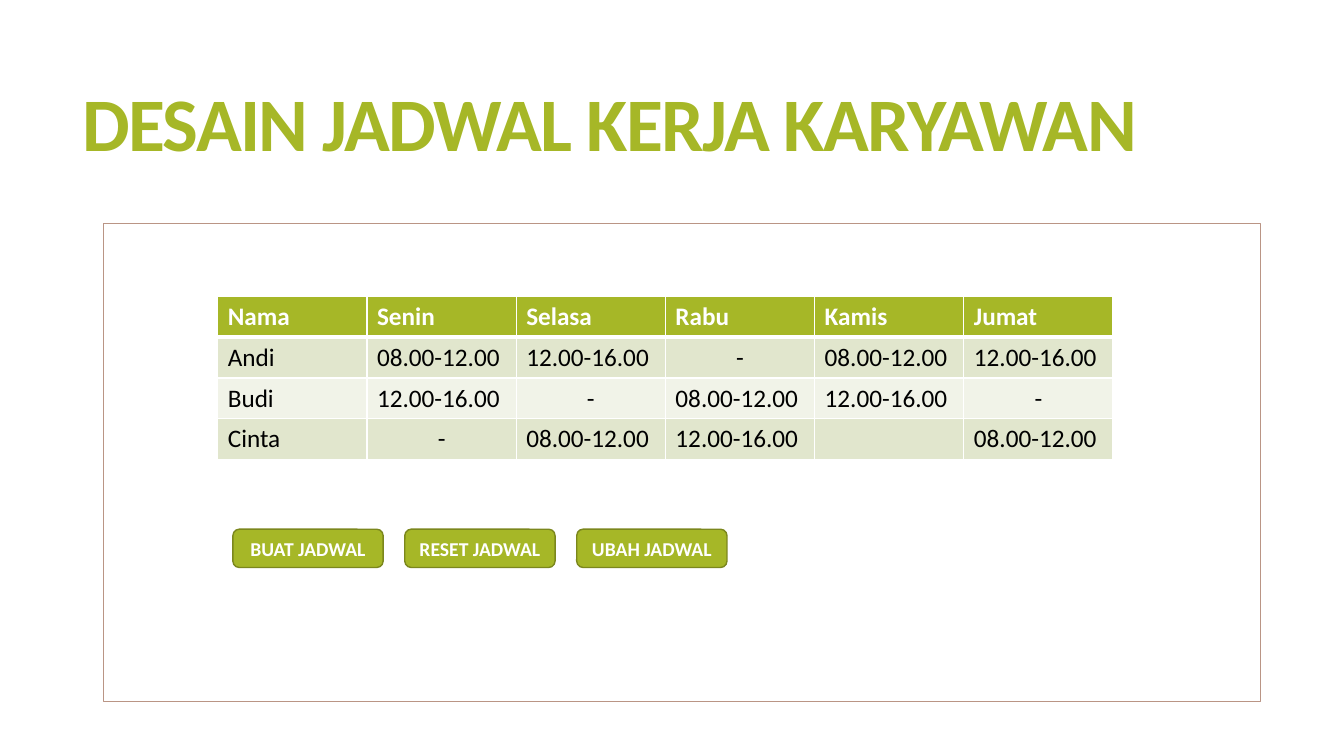
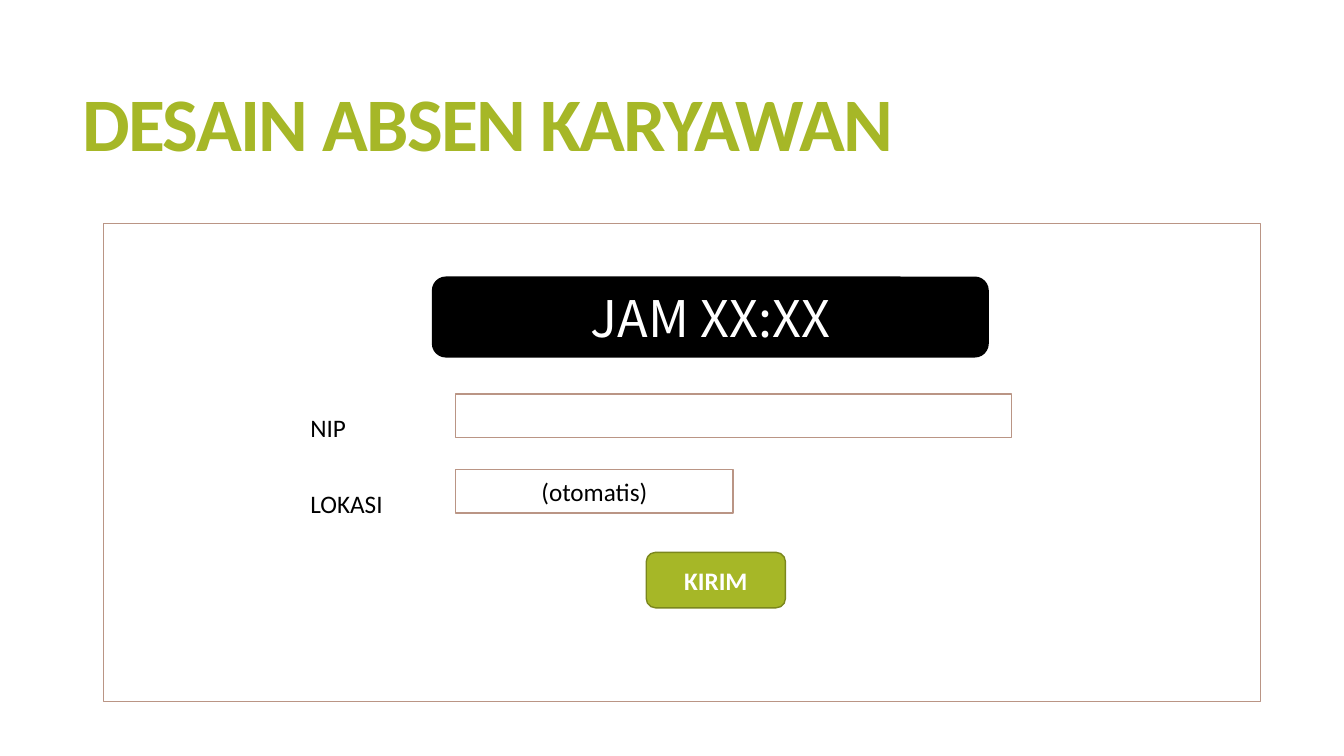
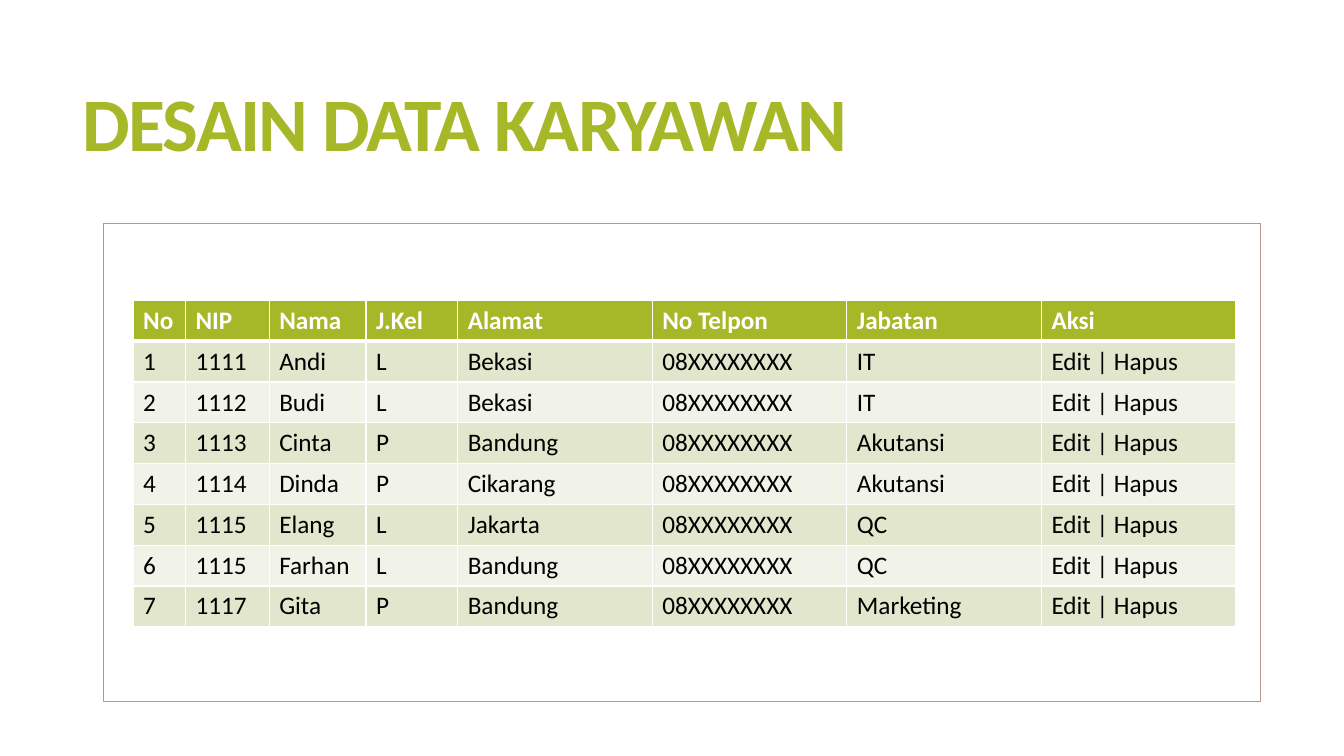
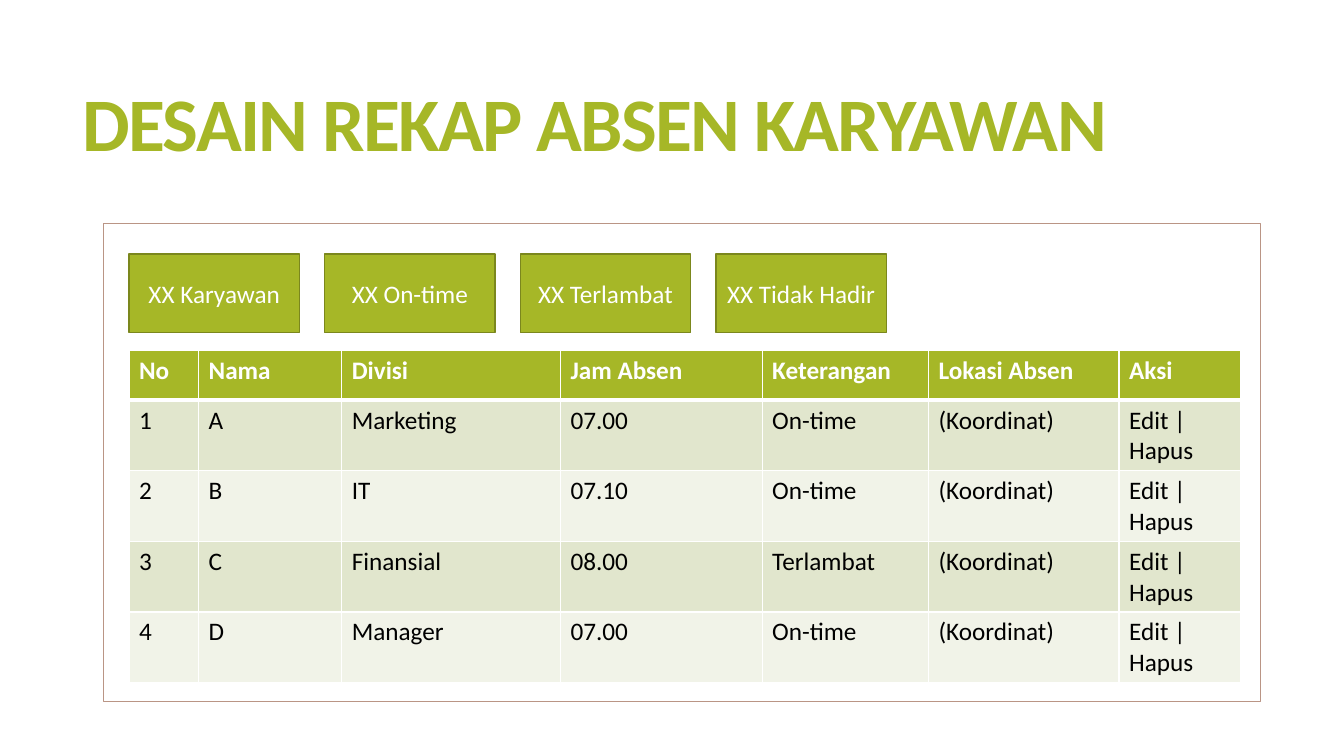
from dataclasses import dataclass

from lxml import etree
from pptx import Presentation
from pptx.dml.color import RGBColor
from pptx.enum.shapes import MSO_SHAPE
from pptx.enum.text import MSO_ANCHOR, PP_ALIGN
from pptx.oxml.ns import qn
from pptx.util import Inches, Pt

RECT, ROUNDED = MSO_SHAPE.RECTANGLE, MSO_SHAPE.ROUNDED_RECTANGLE
LEFT, CENTER = PP_ALIGN.LEFT, PP_ALIGN.CENTER
TOP, MIDDLE = MSO_ANCHOR.TOP, MSO_ANCHOR.MIDDLE


@dataclass(frozen=True)
class Theme:
    """Colours, fonts and type sizes of the deck."""
    green: str = "A6B727"
    dark_green: str = "7B871D"
    brown: str = "BA9585"
    white: str = "FFFFFF"
    black: str = "000000"
    bands: tuple = ("E1E6CD", "F1F3E8")
    font: str = "Calibri"
    clock_font: str = "Noto Sans CJK SC"
    title_size: int = 54
    clock_size: int = 36
    body_size: int = 18
    button_size: int = 14


class Deck:
    """Draws the elements of the deck on the current slide."""

    def __init__(self, theme):
        self.t = theme
        self.prs = Presentation()
        self.prs.slide_width, self.prs.slide_height = Inches(13.33), Inches(7.5)
        self.s = None

    def slide(self, title):
        """Start a slide with its title and framed panel."""
        self.s = self.prs.slides.add_slide(self.prs.slide_layouts[6])
        r, = self.text(0.72, 0.55, 11.78, 1.45, [title], 0.85, MIDDLE,
                       size=self.t.title_size, color=self.t.green, bold=True)
        r.font._element.set("spc", "-120")
        self.field(1.03, 2.22, 11.47, 4.74)

    def run(self, p, text, size=None, color=None, bold=False, font=None):
        """Add one styled run to a paragraph."""
        r = p.add_run()
        r.text = text
        r.font.name = font or self.t.font
        r.font.size = Pt(size or self.t.body_size)
        r.font.bold = bold
        r.font.color.rgb = RGBColor.from_string(color or self.t.black)
        return r

    def text(self, x, y, w, h, lines, spacing, anchor=TOP, **style):
        """Add a text box with one paragraph per line."""
        sp = self.s.shapes.add_textbox(Inches(x), Inches(y), Inches(w), Inches(h))
        tf = sp.text_frame
        tf.word_wrap = True
        tf.vertical_anchor = anchor
        runs = []
        for i, line in enumerate(lines):
            p = tf.add_paragraph() if i else tf.paragraphs[0]
            p.line_spacing = spacing
            runs.append(self.run(p, line, **style))
        return runs

    def box(self, kind, x, y, w, h, fill, line, text="", **style):
        """Add a filled, outlined shape with optional centred text."""
        sp = self.s.shapes.add_shape(kind, Inches(x), Inches(y), Inches(w), Inches(h))
        sp.shadow.inherit = False
        sp.fill.solid()
        sp.fill.fore_color.rgb = RGBColor.from_string(fill)
        sp.line.color.rgb = RGBColor.from_string(line)
        sp.line.width = Pt(1)
        if text:
            tf = sp.text_frame
            tf.word_wrap = True
            tf.margin_left = tf.margin_right = Inches(0.05)
            tf.vertical_anchor = MIDDLE
            p = tf.paragraphs[0]
            p.alignment = CENTER
            self.run(p, text, **style)

    def field(self, x, y, w, h, text=""):
        """Add a white frame."""
        self.box(RECT, x, y, w, h, self.t.white, self.t.brown, text)

    def button(self, x, y, w, h, text, size=None):
        """Add a rounded green button."""
        self.box(ROUNDED, x, y, w, h, self.t.green, self.t.dark_green, text,
                 size=size, color=self.t.white, bold=True)

    def card(self, x, y, w, h, text):
        """Add a green summary card."""
        self.box(RECT, x, y, w, h, self.t.green, self.t.dark_green, text,
                 color=self.t.white)

    def border(self, cell, side, width):
        """Add a white border to one side of a cell."""
        ln = etree.SubElement(cell._tc.get_or_add_tcPr(), qn(f"a:ln{side}"),
                              w=str(Pt(width)))
        fill = etree.SubElement(ln, qn("a:solidFill"))
        etree.SubElement(fill, qn("a:srgbClr"), val=self.t.white)

    def table(self, x, y, widths, heights, rows):
        """Add a banded table whose first row is the header."""
        tbl = self.s.shapes.add_table(
            len(rows), len(widths), Inches(x), Inches(y),
            Inches(sum(widths)), Inches(sum(heights))).table
        for col, w in zip(tbl.columns, widths):
            col.width = Inches(w)
        for row, h in zip(tbl.rows, heights):
            row.height = Inches(h)
        for i, row in enumerate(rows):
            for j, text in enumerate(row):
                self.cell(tbl.cell(i, j), i, text)

    def cell(self, cell, i, text):
        """Style and fill one cell of row i."""
        header = i == 0
        for side in "LRTB":
            thick = (i, side) in ((0, "B"), (1, "T"))
            self.border(cell, side, 3 if thick else 1)
        cell.fill.solid()
        fill = self.t.green if header else self.t.bands[(i - 1) % 2]
        cell.fill.fore_color.rgb = RGBColor.from_string(fill)
        p = cell.text_frame.paragraphs[0]
        p.alignment = CENTER if text == "-" else LEFT
        if text:
            self.run(p, text, bold=header,
                     color=self.t.white if header else self.t.black)


def schedule(d):
    """Build the work schedule slide."""
    d.slide("DESAIN JADWAL KERJA KARYAWAN")
    early, late = "08.00-12.00", "12.00-16.00"
    d.table(2.16, 2.94, [1.48] * 6, [0.405] * 4, [
        ("Nama", "Senin", "Selasa", "Rabu", "Kamis", "Jumat"),
        ("Andi", early, late, "-", early, late),
        ("Budi", late, "-", early, late, "-"),
        ("Cinta", "-", early, late, "", early),
    ])
    for i, action in enumerate(("BUAT", "RESET", "UBAH")):
        d.button(2.31 + 1.705 * i, 5.25, 1.49, 0.38, f"{action} JADWAL",
                 d.t.button_size)


def attendance(d):
    """Build the attendance form slide."""
    d.slide("DESAIN ABSEN KARYAWAN")
    d.field(4.52, 3.91, 5.51, 0.43)
    d.text(2.98, 3.59, 2.75, 1.49, ["NIP", "LOKASI"], 2.5)
    d.field(4.52, 4.66, 2.75, 0.43, "(otomatis)")
    d.button(6.41, 5.48, 1.38, 0.55, "KIRIM")
    d.box(ROUNDED, 4.29, 2.75, 5.51, 0.79, d.t.black, d.t.black, "JAM XX:XX",
          size=d.t.clock_size, color=d.t.white, font=d.t.clock_font)


def employees(d):
    """Build the employee data slide."""
    d.slide("DESAIN DATA KARYAWAN")
    people = [
        ("1111", "Andi", "L", "Bekasi", "IT"),
        ("1112", "Budi", "L", "Bekasi", "IT"),
        ("1113", "Cinta", "P", "Bandung", "Akutansi"),
        ("1114", "Dinda", "P", "Cikarang", "Akutansi"),
        ("1115", "Elang", "L", "Jakarta", "QC"),
        ("1115", "Farhan", "L", "Bandung", "QC"),
        ("1117", "Gita", "P", "Bandung", "Marketing"),
    ]
    rows = [("No", "NIP", "Nama", "J.Kel", "Alamat", "No Telpon", "Jabatan", "Aksi")]
    rows += [(str(n), *person, "08XXXXXXXX", job, "Edit | Hapus")
             for n, (*person, job) in enumerate(people, 1)]
    d.table(1.32, 2.98, [0.52, 0.83, 0.96, 0.91] + [1.93] * 4, [0.405] * 8, rows)


def recap(d):
    """Build the attendance recap slide."""
    d.slide("DESAIN REKAP ABSEN KARYAWAN")
    entries = [
        ("A", "Marketing", "07.00", "On-time"),
        ("B", "IT", "07.10", "On-time"),
        ("C", "Finansial", "08.00", "Terlambat"),
        ("D", "Manager", "07.00", "On-time"),
    ]
    rows = [("No", "Nama", "Divisi", "Jam Absen", "Keterangan", "Lokasi Absen", "Aksi")]
    rows += [(str(n), *entry, "(Koordinat)", "Edit | Hapus")
             for n, entry in enumerate(entries, 1)]
    d.table(1.28, 3.48, [0.69, 1.42, 2.17, 2, 1.65, 1.89, 1.21],
            [0.49] + [0.7] * 4, rows)
    for i, label in enumerate(("Karyawan", "On-time", "Terlambat", "Tidak Hadir")):
        d.card(1.28 + 1.94 * i, 2.52, 1.69, 0.78, f"XX {label}")


deck = Deck(Theme())
for build in (schedule, attendance, employees, recap):
    build(deck)
deck.prs.save("out.pptx")
